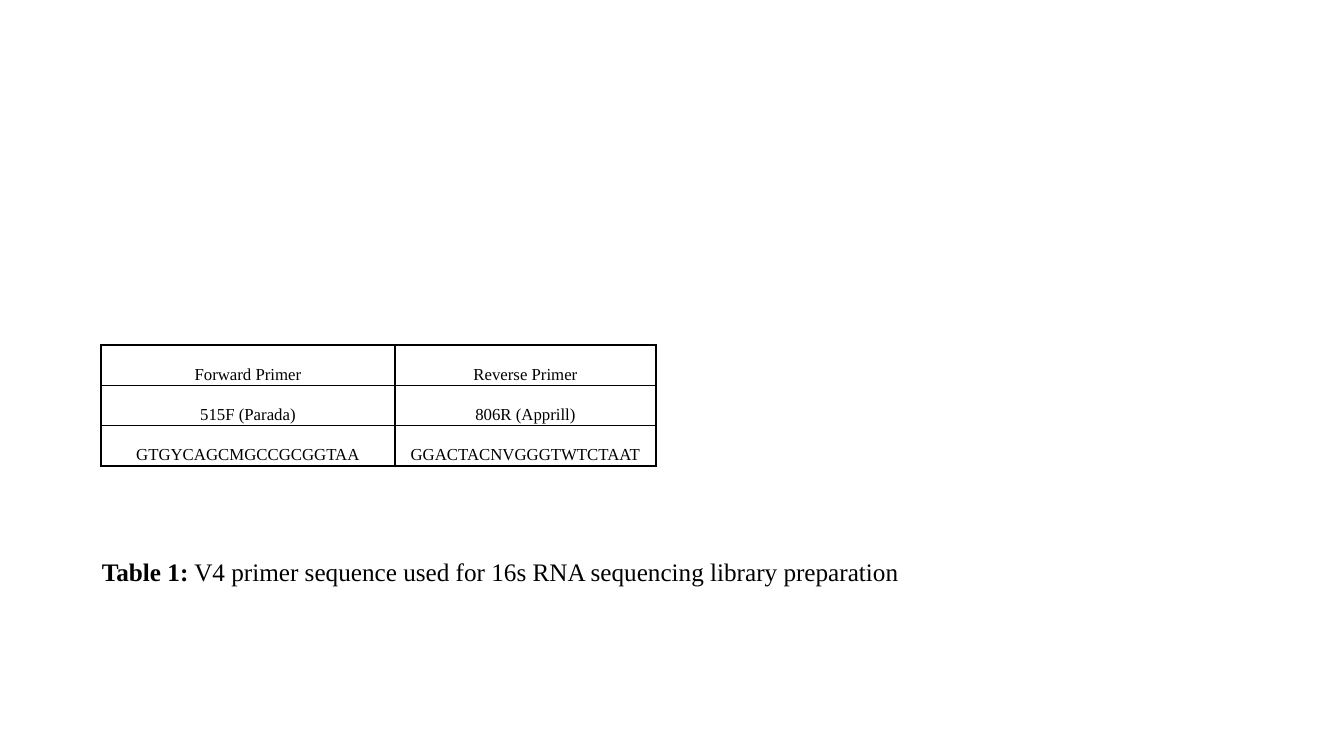
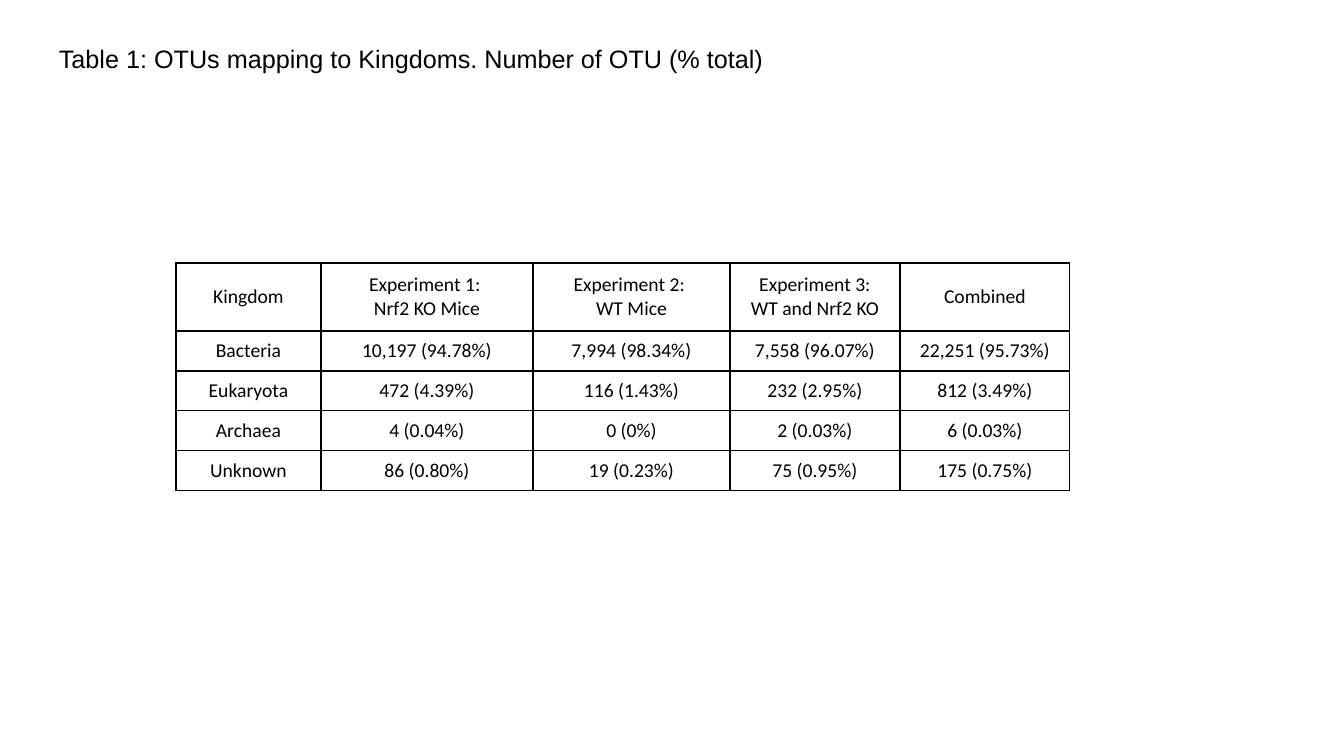
import dataclasses

import lxml.etree
import pptx
import pptx.dml.color
import pptx.enum.text
import pptx.oxml.ns
import pptx.util


@dataclasses.dataclass(frozen=True)
class Theme:
    ink: str = "000000"
    serif: str = "Times New Roman"
    sans: str = "Arial"
    body: str = "Calibri"
    caption_size: int = 18
    primer_size: int = 12
    kingdom_size: int = 14
    border_width: int = 1


EMU_PER_PX = 12192000 / 1344
SLIDE_WIDTH = 1344
SLIDE_HEIGHT = 756
BORDER_SIDES = ("lnL", "lnR", "lnT", "lnB")

PRIMERS = (
    ("Forward Primer", "Reverse Primer"),
    ("515F (Parada)", "806R (Apprill)"),
    ("GTGYCAGCMGCCGCGGTAA", "GGACTACNVGGGTWTCTAAT"),
)

KINGDOMS = (
    ("Kingdom", "Experiment 1: \nNrf2 KO Mice", "Experiment 2: \nWT Mice",
     "Experiment 3:\nWT and Nrf2 KO", "Combined"),
    ("Bacteria", "10,197 (94.78%)", "7,994 (98.34%)", "7,558 (96.07%)", "22,251 (95.73%)"),
    ("Eukaryota", "472 (4.39%)", "116 (1.43%)", "232 (2.95%)", "812 (3.49%)"),
    ("Archaea", "4 (0.04%)", "0 (0%)", "2 (0.03%)", "6 (0.03%)"),
    ("Unknown", "86 (0.80%)", "19 (0.23%)", "75 (0.95%)", "175 (0.75%)"),
)


def px(length):
    return pptx.util.Emu(round(length * EMU_PER_PX))


class Builder:
    def __init__(self, theme):
        self.theme = theme
        self.deck = pptx.Presentation()
        self.deck.slide_width = px(SLIDE_WIDTH)
        self.deck.slide_height = px(SLIDE_HEIGHT)
        self.page = None

    def add_page(self):
        self.page = self.deck.slides.add_slide(self.deck.slide_layouts[6])

    def style(self, span, font, size, bold=False):
        span.font.name = font
        span.font.size = pptx.util.Pt(size)
        span.font.bold = bold
        span.font.color.rgb = pptx.dml.color.RGBColor.from_string(self.theme.ink)

    def add_caption(self, left, top, width, height, text, font, lead="", wrap=True, spacing=1):
        box = self.page.shapes.add_textbox(px(left), px(top), px(width), px(height))
        frame = box.text_frame
        frame.word_wrap = wrap
        frame.auto_size = pptx.enum.text.MSO_AUTO_SIZE.SHAPE_TO_FIT_TEXT
        para = frame.paragraphs[0]
        para.line_spacing = float(spacing)
        para.text = lead or text
        self.style(para.runs[0], font, self.theme.caption_size, bool(lead))
        if lead:
            span = para.add_run()
            span.text = text
            self.style(span, font, self.theme.caption_size)

    def add_borders(self, cell):
        properties = cell._tc.get_or_add_tcPr()
        for position, side in enumerate(BORDER_SIDES):
            line = lxml.etree.Element(pptx.oxml.ns.qn(f"a:{side}"))
            line.set("w", str(pptx.util.Pt(self.theme.border_width)))
            fill = lxml.etree.SubElement(line, pptx.oxml.ns.qn("a:solidFill"))
            color = lxml.etree.SubElement(fill, pptx.oxml.ns.qn("a:srgbClr"))
            color.set("val", self.theme.ink)
            properties.insert(position, line)

    def fill_cell(self, cell, text, font, size, insets, spacing):
        cell.fill.background()
        self.add_borders(cell)
        cell.vertical_anchor = pptx.enum.text.MSO_ANCHOR.MIDDLE
        cell.margin_left = cell.margin_right = px(insets[0])
        cell.margin_top = cell.margin_bottom = px(insets[1])
        cell.text_frame.text = text
        for para in cell.text_frame.paragraphs:
            para.alignment = pptx.enum.text.PP_ALIGN.CENTER
            para.line_spacing = float(spacing)
            for span in para.runs:
                self.style(span, font, size)

    def add_table(self, left, top, widths, heights, rows, font, size,
                  header_insets, body_insets, spacing=1):
        table = self.page.shapes.add_table(
            len(rows), len(widths), px(left), px(top), px(sum(widths)), px(sum(heights))
        ).table
        table.first_row = False
        table.horz_banding = False
        for column, width in zip(table.columns, widths):
            column.width = px(width)
        for row_index, (row, height) in enumerate(zip(rows, heights)):
            table.rows[row_index].height = px(height)
            insets = body_insets if row_index else header_insets
            for column_index, text in enumerate(row):
                cell = table.cell(row_index, column_index)
                self.fill_cell(cell, text, font, size, insets, spacing)


def main():
    theme = Theme()
    builder = Builder(theme)

    builder.add_page()
    builder.add_caption(
        92, 521, 1059, 61, " V4 primer sequence used for 16s RNA sequencing library preparation",
        theme.serif, lead="Table 1:", spacing=2)
    builder.add_table(
        101, 345, (294, 261), (40,) * 3, PRIMERS, theme.serif, theme.primer_size,
        (7, 0), (7, 0), spacing=2)

    builder.add_page()
    builder.add_caption(
        49, 38, 731, 40, "Table 1: OTUs mapping to Kingdoms. Number of OTU (% total)",
        theme.sans, wrap=False)
    builder.add_table(
        176, 263, (145, 212, 197, 170, 170), (68,) + (40,) * 4, KINGDOMS,
        theme.body, theme.kingdom_size, (19, 10), (10, 8))

    builder.deck.save("out.pptx")


if __name__ == "__main__":
    main()
